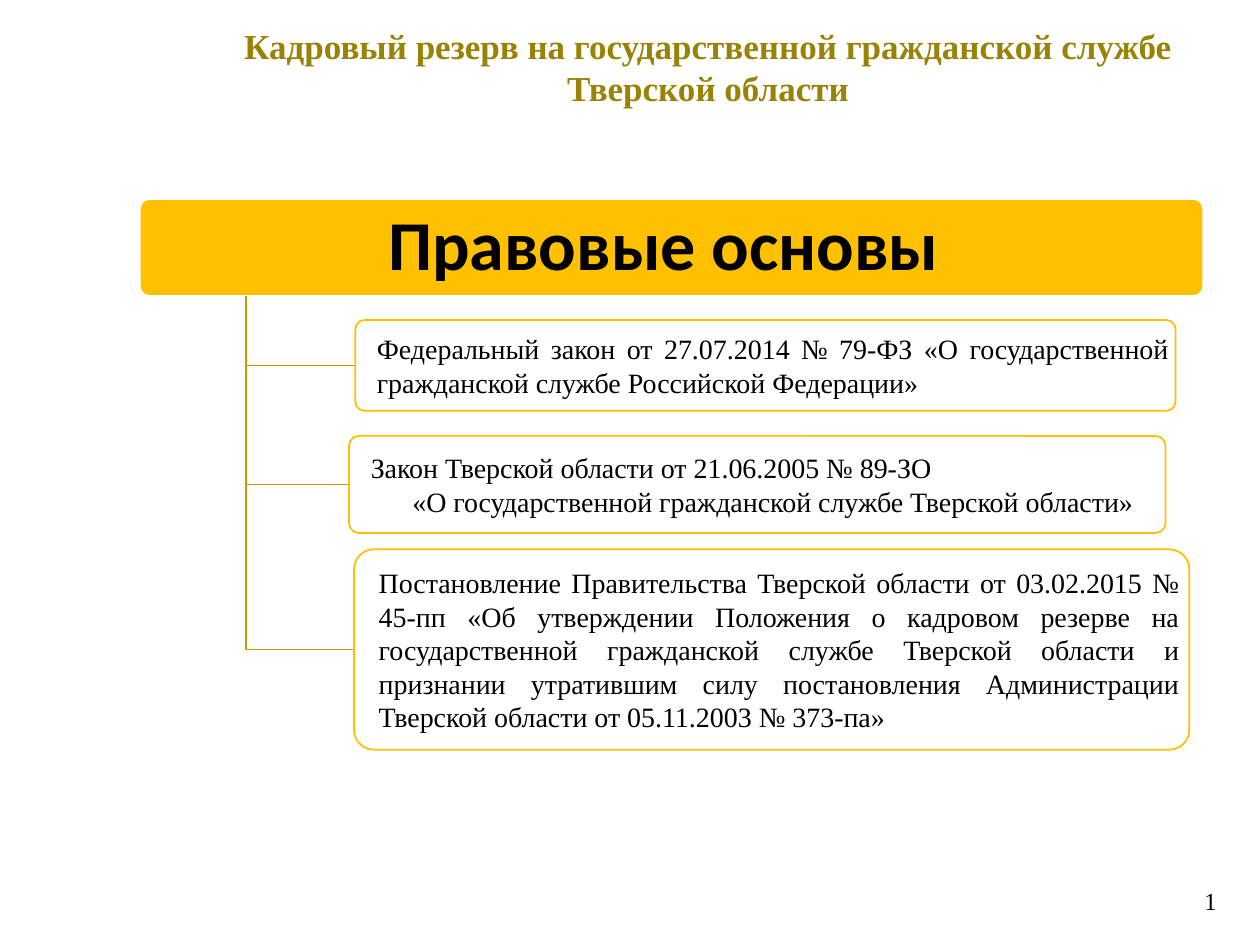
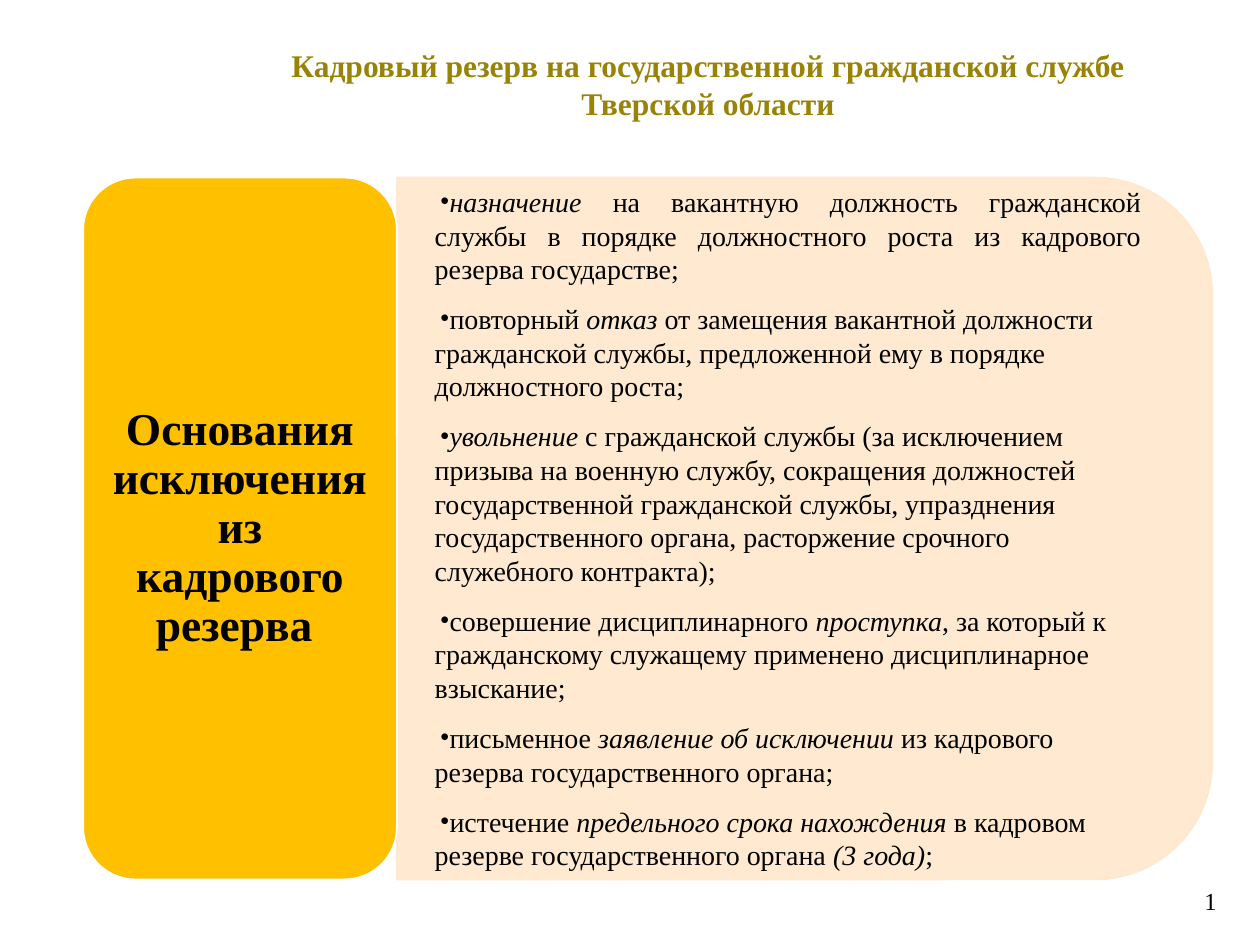
from lxml import etree
from pptx import Presentation
from pptx.dml.color import RGBColor
from pptx.enum.shapes import MSO_SHAPE
from pptx.enum.text import MSO_ANCHOR, MSO_AUTO_SIZE, PP_ALIGN
from pptx.oxml.ns import qn
from pptx.util import Inches, Pt

ROUNDED = MSO_SHAPE.ROUNDED_RECTANGLE
ROUNDED_TOP = MSO_SHAPE.ROUND_2_SAME_RECTANGLE
MIDDLE, TOP = MSO_ANCHOR.MIDDLE, MSO_ANCHOR.TOP
NO_FIT, GROW = MSO_AUTO_SIZE.NONE, MSO_AUTO_SIZE.SHAPE_TO_FIT_TEXT
LEFT, CENTER, JUSTIFY = PP_ALIGN.LEFT, PP_ALIGN.CENTER, PP_ALIGN.JUSTIFY

COLUMNS, ROWS = 100, 75
CELL = Inches(0.1)
SERIF, SANS = "Times New Roman", "Calibri"
AMBER, PEACH, GOLD, OLIVE = "FFC000", "FFE8CC", "CC9A00", "998307"
BLACK, WHITE = "000000", "FFFFFF"

TITLE_BOX = (17.8, 2.4, 76.8, 8.5)
NUMBER_BOX = (94.6, 69.8, 4.1, 3.4)
TREE_BOX = (11.1, 15.8, 84.4, 43.7)
REASONS_BOX = (6.6, 14.1, 89.6, 55.7)

TITLE = "Кадровый резерв на государственной гражданской службе Тверской области"
LAWS = [
    ((17.1, 9.6, 65.1, 7.2), [
        "Федеральный закон от 27.07.2014 № 79-ФЗ «О государственной "
        "гражданской службе Российской Федерации»"]),
    ((16.6, 18.8, 64.8, 7.7), [
        "Закон Тверской области от 21.06.2005 № 89-ЗО",
        "«О государственной гражданской службе Тверской области»"]),
    ((17, 27.8, 66.3, 15.9), [
        "Постановление Правительства Тверской области от 03.02.2015 № 45-пп "
        "«Об утверждении Положения о кадровом резерве на государственной "
        "гражданской службе Тверской области и признании утратившим силу "
        "постановления Администрации Тверской области от 05.11.2003 № 373-па»"]),
]
REASONS = [
    "*назначение* на вакантную должность гражданской службы в порядке "
    "должностного роста из кадрового резерва государстве;",
    "повторный *отказ* от замещения вакантной должности гражданской службы, "
    "предложенной ему в порядке должностного роста;",
    "*увольнение* с гражданской службы (за исключением призыва на военную "
    "службу, сокращения должностей государственной гражданской службы, "
    "упразднения государственного органа, расторжение срочного служебного "
    "контракта);",
    "совершение дисциплинарного *проступка*, за который к гражданскому "
    "служащему применено дисциплинарное взыскание;",
    "письменное *заявление об исключении* из кадрового резерва "
    "государственного органа;",
    "истечение *предельного срока нахождения* в кадровом резерве "
    "государственного органа *(3 года)*;",
]


def color(hex_text):
    return RGBColor.from_string(hex_text)


def cells(count):
    return round(count * CELL)


def inside(box, part):
    return (box[0] + part[0], box[1] + part[1], part[2], part[3])


def set_all(target, values):
    for name, value in values.items():
        setattr(target, name, value)


def place(shape, box):
    set_all(shape, dict(zip(("left", "top", "width", "height"), map(cells, box))))


def format_frame(frame, insets=(0.1, 0.05, 0.1, 0.05), anchor=MIDDLE, wrap=True, fit=NO_FIT):
    set_all(frame, {"word_wrap": wrap, "auto_size": fit, "vertical_anchor": anchor})
    sides = ("margin_left", "margin_top", "margin_right", "margin_bottom")
    set_all(frame, dict(zip(sides, map(Inches, insets))))


def write(paragraph, text, size, align=LEFT, font=SERIF, ink=BLACK, bold=False, **spacing):
    set_all(paragraph, {"alignment": align, **spacing})
    for index, piece in enumerate(text.split("*")):
        if piece:
            run = paragraph.add_run()
            run.text = piece
            set_all(run.font, {"size": Pt(size), "name": font, "bold": bold,
                               "italic": index % 2 == 1})
            run.font.color.rgb = color(ink)


def indent(paragraph, left, first=0.0, bullet=None):
    properties = paragraph._p.get_or_add_pPr()
    properties.set("marL", str(Inches(left)))
    properties.set("indent", str(Inches(first)))
    if bullet:
        etree.SubElement(properties, qn("a:buFont")).set("typeface", SERIF)
        etree.SubElement(properties, qn("a:buChar")).set("char", bullet)


def add_panel(slide, kind, box, fill, line, corner=None, opacity=100):
    shape = slide.shapes.add_shape(kind, *map(cells, box))
    shape.shadow.inherit = False
    shape.fill.solid()
    shape.fill.fore_color.rgb = color(fill)
    shape.line.color.rgb = color(line)
    shape.line.width = Pt(1)
    if corner is not None:
        shape.adjustments[0] = corner
    if opacity < 100:
        paint = shape.fill._xPr.find(qn("a:solidFill"))[0]
        etree.SubElement(paint, qn("a:alpha")).set("val", str(opacity * 1000))
    return shape


def add_branch(slide, start, end):
    builder = slide.shapes.build_freeform(cells(start[0]), cells(start[1]))
    corner = (start[0], end[1])
    builder.add_line_segments([tuple(map(cells, point)) for point in (corner, end)], close=False)
    branch = builder.convert_to_shape()
    branch.shadow.inherit = False
    branch.fill.background()
    branch.line.color.rgb = color(GOLD)
    branch.line.width = Pt(1)


def add_base(presentation, layout, title_size, title_bottom=0.05):
    slide = presentation.slides.add_slide(presentation.slide_layouts[layout])
    title = slide.shapes.title
    place(title, TITLE_BOX)
    format_frame(title.text_frame, (0.1, 0.05, 0.1, title_bottom))
    write(title.text_frame.paragraphs[0], TITLE, title_size, CENTER, ink=OLIVE, bold=True)
    number = slide.shapes.add_textbox(*map(cells, NUMBER_BOX))
    format_frame(number.text_frame, anchor=TOP, fit=GROW)
    write(number.text_frame.paragraphs[0], "1", 14)
    return slide


def add_law_tree(slide, box):
    left, top, width, _ = box
    header_height = 7.7
    header = add_panel(slide, ROUNDED, (left, top, width, header_height), AMBER, WHITE, 0.1)
    format_frame(header.text_frame, (0.08, 0.06, 0.08, 0.06))
    write(header.text_frame.paragraphs[0], "Правовые основы ", 40, CENTER, SANS,
          bold=True, line_spacing=0.9)
    trunk = (left + width / 10, top + header_height)
    for part, lines in LAWS:
        card_box = inside(box, part)
        add_branch(slide, trunk, (card_box[0], card_box[1] + card_box[3] / 2))
        card = add_panel(slide, ROUNDED, card_box, WHITE, AMBER, 0.1, 90)
        frame = card.text_frame
        format_frame(frame, (0.03, 0.02, 0.03, 0.02))
        for index, line in enumerate(lines):
            paragraph = frame.add_paragraph() if index else frame.paragraphs[0]
            write(paragraph, line, 16, JUSTIFY)
            indent(paragraph, 0.45 if index else 0.12)


def add_reasons(slide, box):
    left, top, width, height = box
    label_width = 24.9
    panel_width = width - label_width
    panel_left = left + label_width
    turned = (panel_left + (panel_width - height) / 2, top + (height - panel_width) / 2,
              height, panel_width)
    panel = add_panel(slide, ROUNDED_TOP, turned, PEACH, PEACH, opacity=90)
    panel.rotation = 90

    body = slide.placeholders[1]
    place(body, inside(box, (label_width - 0.1, 2.7, 61.9, 50.2)))
    slide.shapes._spTree.append(body._element)
    frame = body.text_frame
    format_frame(frame, (0.27, 0.14, 0.27, 0.14))
    for index, reason in enumerate(REASONS):
        paragraph = frame.add_paragraph() if index else frame.paragraphs[0]
        write(paragraph, reason, 16, LEFT if index else JUSTIFY, level=min(index, 1),
              space_before=Pt(9.4 if index else 0), space_after=Pt(0))
        indent(paragraph, 0.04, 0.04, "•")

    label = add_panel(slide, ROUNDED, (left, top, label_width, height), AMBER, WHITE)
    format_frame(label.text_frame, (0.11, 0.05, 0.11, 0.05))
    write(label.text_frame.paragraphs[0], "Основания исключения из кадрового резерва ",
          26, CENTER, bold=True, line_spacing=0.9)


presentation = Presentation()
set_all(presentation, {"slide_width": cells(COLUMNS), "slide_height": cells(ROWS)})
add_law_tree(add_base(presentation, 5, 20, 0.33), TREE_BOX)
add_reasons(add_base(presentation, 1, 18), REASONS_BOX)
presentation.save("out.pptx")
